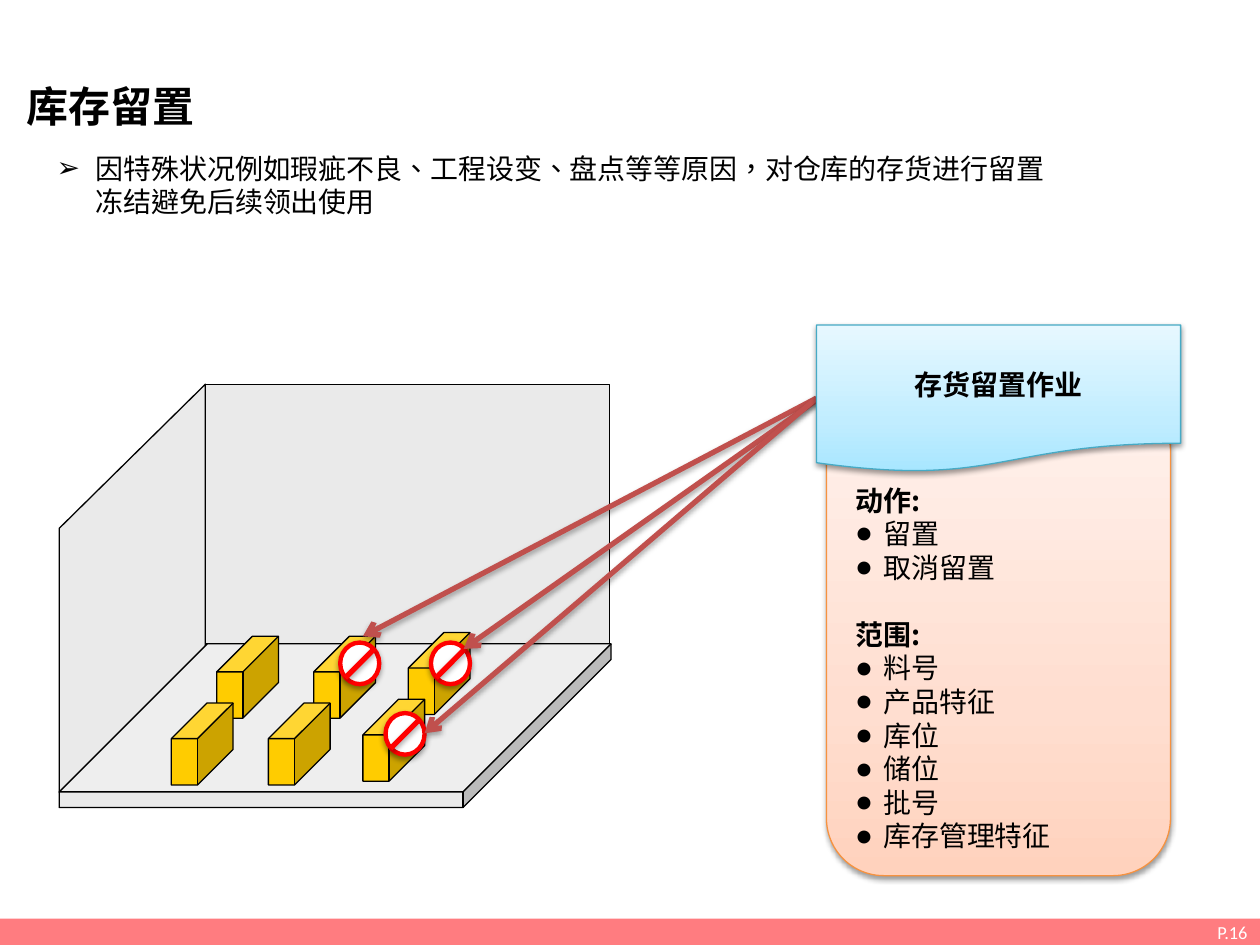
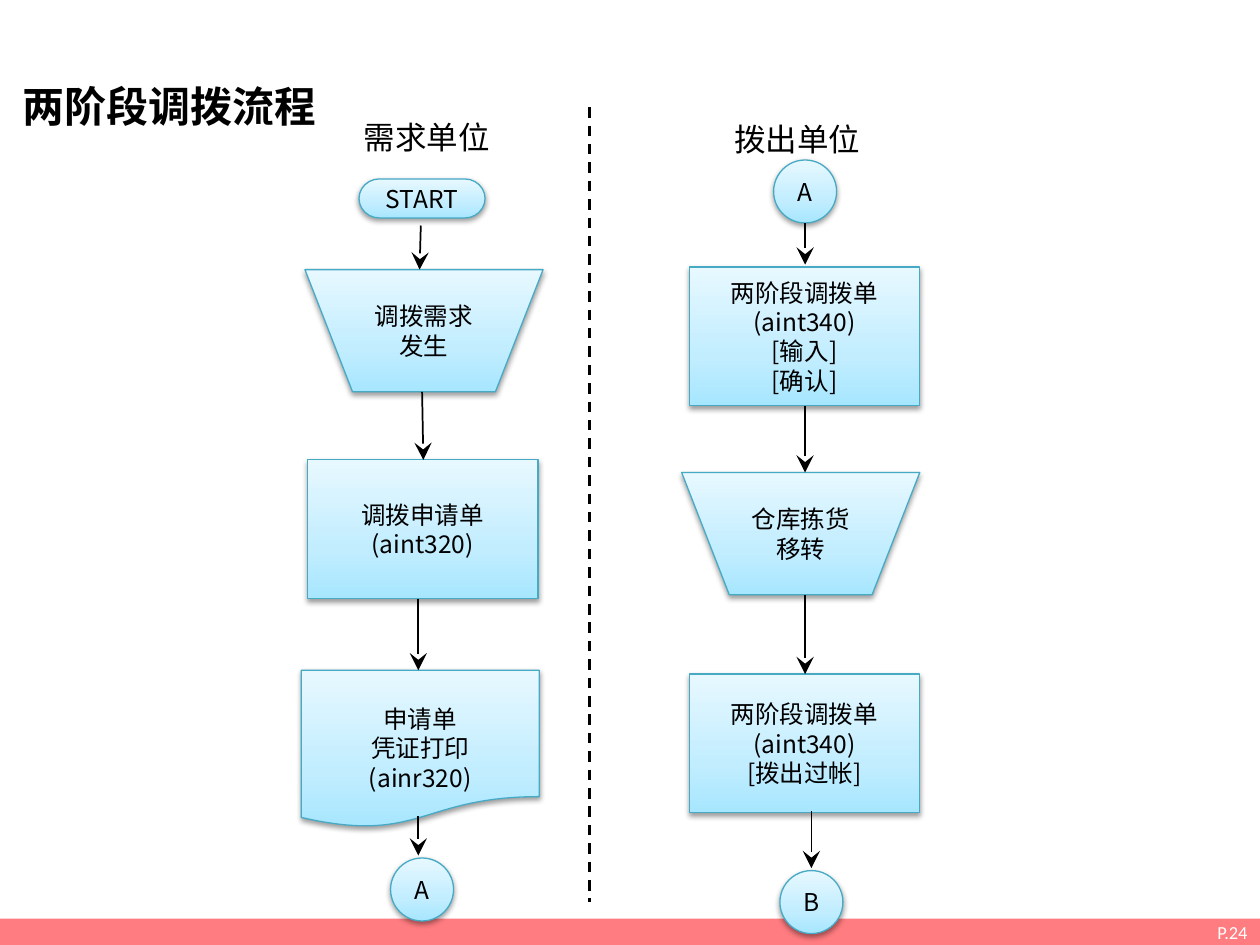
from lxml.etree import SubElement
from pptx import Presentation
from pptx.dml.color import RGBColor
from pptx.enum.dml import MSO_LINE
from pptx.enum.shapes import MSO_CONNECTOR, MSO_SHAPE
from pptx.enum.text import MSO_ANCHOR, MSO_AUTO_SIZE, PP_ALIGN
from pptx.oxml.ns import qn
from pptx.util import Inches, Pt

FONT, LATIN = "Noto Sans CJK SC", "Calibri"
BLACK, WHITE, RED, ROSE = "000000", "FFFFFF", "FF0000", "C0504D"
BAND, WALL, GOLD = "FF7C80", "EAEAEA", "FFCC00"
# Gradient stops from bottom to top, then the outline colour
BLUE = ("A7E6FF", "C1EDFF", "E7F8FF"), "46AAC5"
PEACH = ("FFD2BD", "FFDED0", "FFF2ED"), "F69240"
STOPS = 0, 35, 100

RECT, CUBE, OVAL = MSO_SHAPE.RECTANGLE, MSO_SHAPE.CUBE, MSO_SHAPE.OVAL
DOC = MSO_SHAPE.FLOWCHART_DOCUMENT
HAND = MSO_SHAPE.FLOWCHART_MANUAL_OPERATION
LINK = MSO_SHAPE.FLOWCHART_CONNECTOR
PILL = MSO_SHAPE.FLOWCHART_TERMINATOR

# Stock hold slide
HOLD = "库存留置"
REASON = "因特殊状况例如瑕疵不良、工程设变、盘点等等原因，对仓库的存货进行留置冻结避免后续领出使用"
TASK = "存货留置作业"
GROUPS = [
    ("动作:", ["留置", "取消留置"]),
    ("范围:", ["料号", "产品特征", "库位", "储位", "批号", "库存管理特征"]),
]
BACK_ROW = [(2.49, 5.05), (1.72, 5.05), (3.24, 5.02)]
FRONT_STEP = -0.36, 0.53
SIGNS = [(3.42, 5.1), (3.06, 5.66), (2.7, 5.1)]
HOLDS = [
    ((6.48, 3.16), (2.88, 5.05)),
    ((6.56, 3.12), (3.68, 5.15)),
    ((6.48, 3.16), (3.37, 5.82)),
]

# Transfer slide
FLOW = "两阶段调拨流程"
UNITS = [("需求单位", 2.79, 0.89), ("拨出单位", 5.73, 0.9)]
SIZES = {PILL: (1, 0.31), HAND: (1.89, 0.97), RECT: (1.83, 1.1),
         DOC: (1.89, 1.25), LINK: (0.5, 0.5)}
STEPS = [
    (PILL, 2.85, 1.42, ["START"]),
    (HAND, 2.42, 2.14, ["调拨需求发生"]),
    (RECT, 2.44, 3.65, ["调拨申请单(aint320)"]),
    (DOC, 2.39, 5.32, ["申请单", "凭证打印", "(ainr320)"]),
    (LINK, 3.1, 6.81, ["A"]),
    (LINK, 6.14, 1.27, ["A"]),
    (RECT, 5.47, 2.12, ["两阶段调拨单(aint340)", "[输入]", "[确认]"]),
    (HAND, 5.41, 3.75, ["仓库拣货移转"]),
    (RECT, 5.47, 5.35, ["两阶段调拨单(aint340)", "[拨出过帐]"]),
    (LINK, 6.19, 6.91, ["B"]),
]
ARROWS = [
    ((3.34, 1.79), (3.33, 2.14)),
    ((3.35, 3.11), (3.36, 3.65)),
    ((3.32, 4.75), (3.32, 5.32)),
    ((3.32, 6.48), (3.32, 6.79)),
    ((6.39, 1.77), (6.39, 2.1)),
    ((6.39, 3.22), (6.39, 3.75)),
    ((6.39, 4.72), (6.39, 5.35)),
    ((6.44, 6.44), (6.44, 6.89)),
]


def color(code):
    return RGBColor.from_string(code)


def add_node(parent, tag, **attrs):
    return SubElement(parent, qn(tag), {k: str(v) for k, v in attrs.items()})


def set_effect(props, alpha=0):
    """Replace the theme shadow by a soft one, or by none if alpha is 0."""
    effects = add_node(props, "a:effectLst")
    if alpha:
        shade = add_node(effects, "a:outerShdw", blurRad=40000, dist=20000,
                         dir=5400000, rotWithShape=0)
        tint = add_node(shade, "a:srgbClr", val=BLACK)
        add_node(tint, "a:alpha", val=alpha * 1000)


def set_blend(shape, codes):
    shape.fill.gradient()
    grad = shape._element.spPr.find(qn("a:gradFill"))
    for child in list(grad):
        grad.remove(child)
    stops = add_node(grad, "a:gsLst")
    for place, code in zip(STOPS, codes):
        stop = add_node(stops, "a:gs", pos=place * 1000)
        add_node(stop, "a:srgbClr", val=code)
    add_node(grad, "a:lin", ang=16200000, scaled=0)


def add_form(slide, kind, at, fill, line=None, width=0.75, alpha=0):
    shape = slide.shapes.add_shape(kind, *map(Inches, at))
    if isinstance(fill, str):
        shape.fill.solid()
        shape.fill.fore_color.rgb = color(fill)
    else:
        set_blend(shape, fill)
    if line:
        shape.line.color.rgb = color(line)
        shape.line.width = Pt(width)
    else:
        shape.line.fill.background()
    set_effect(shape._element.spPr, alpha)
    return shape


def add_line(slide, start, end, code, width, head=None, size="med", alpha=0):
    line = slide.shapes.add_connector(
        MSO_CONNECTOR.STRAIGHT, *map(Inches, start + end))
    line.line.color.rgb = color(code)
    line.line.width = Pt(width)
    if head:
        add_node(line.line._get_or_add_ln(), "a:tailEnd",
                 type=head, w=size, len=size)
    set_effect(line._element.spPr, alpha)
    return line


def write(para, text, size, bold=False, code=BLACK, face=FONT):
    run = para.add_run()
    run.text = text
    font = run.font
    font.size, font.bold, font.name = Pt(size), bold, face
    font.color.rgb = color(code)
    props = run._r.get_or_add_rPr()
    props.set("lang", "zh-TW")
    add_node(props, "a:ea", typeface=face)


def set_bullet(para, mark, indent):
    props = para._p.get_or_add_pPr()
    props.set("marL", str(Inches(indent)))
    props.set("indent", str(-Inches(indent)))
    add_node(props, "a:buFont", typeface=LATIN)
    add_node(props, "a:buChar", char=mark)


def next_para(frame):
    """Return the first paragraph while it is empty, else a new one."""
    first = frame.paragraphs[0]
    return frame.add_paragraph() if first.runs else first


def fill_lines(shape, lines, size, bold=False):
    frame = shape.text_frame
    frame.word_wrap = True
    frame.vertical_anchor = MSO_ANCHOR.MIDDLE
    for text in lines:
        para = next_para(frame)
        para.alignment = PP_ALIGN.CENTER
        write(para, text, size, bold)


def place(shape, at):
    shape.left, shape.top, shape.width, shape.height = map(Inches, at)
    frame = shape.text_frame
    frame.word_wrap = True
    frame.auto_size = MSO_AUTO_SIZE.NONE
    frame.vertical_anchor = MSO_ANCHOR.TOP
    para = frame.paragraphs[0]
    para.alignment = PP_ALIGN.LEFT
    para.space_before = Pt(0)
    return para


def add_page(deck, layout, title, left, number):
    slide = deck.slides.add_slide(deck.slide_layouts[layout])
    write(place(slide.shapes.title, (left, 0.59, 4.17, 0.53)), title, 24, True)
    band = add_form(slide, RECT, (0, 7.29, 10, 0.21), BAND)
    frame = band.text_frame
    frame.margin_top = frame.margin_bottom = 0
    frame.vertical_anchor = MSO_ANCHOR.MIDDLE
    para = frame.paragraphs[0]
    para.alignment = PP_ALIGN.RIGHT
    write(para, f"P.{number}", 10.5, code=WHITE, face=LATIN)
    return slide


def draw_store(slide):
    side = add_form(slide, MSO_SHAPE.PARALLELOGRAM,
                    (-0.57, 4.09, 3.24, 1.16), WALL, BLACK)
    side.adjustments[0] = 0.986
    side.rotation = 270
    side._element.spPr.xfrm.set("flipV", "1")
    add_form(slide, RECT, (1.63, 3.05, 3.21, 2.06), WALL, BLACK)
    floor = add_form(slide, CUBE, (0.47, 5.11, 4.38, 1.3), WALL, BLACK)
    floor.adjustments[0] = 0.904
    across, down = FRONT_STEP
    for x, y in BACK_ROW:
        for left, top in ((x, y), (x + across, y + down)):
            crate = add_form(slide, CUBE, (left, top, 0.49, 0.65), GOLD, BLACK)
            crate.adjustments[0] = 0.576
    for x, y in SIGNS:
        add_form(slide, OVAL, (x, y, 0.31, 0.33), WHITE, RED, 2.5, 38)
        add_line(slide, (x + 0.27, y + 0.05), (x + 0.04, y + 0.28),
                 RED, 3, alpha=35)


def draw_card(slide):
    blend, edge = PEACH
    card = add_form(slide, MSO_SHAPE.ROUNDED_RECTANGLE,
                    (6.56, 3.12, 2.73, 3.83), blend, edge, alpha=38)
    frame = card.text_frame
    frame.word_wrap = True
    frame.vertical_anchor = MSO_ANCHOR.MIDDLE
    frame.margin_top = Inches(0.58)
    for index, (head, items) in enumerate(GROUPS):
        para = next_para(frame)
        para.alignment = PP_ALIGN.LEFT
        if index:
            para.space_before = Pt(19.2)
        write(para, head, 16, True)
        for item in items:
            para = next_para(frame)
            para.alignment = PP_ALIGN.LEFT
            set_bullet(para, "●", 0.22)
            write(para, item, 16)
    blend, edge = BLUE
    flag = add_form(slide, DOC, (6.48, 2.58, 2.89, 1.17), blend, edge, alpha=38)
    fill_lines(flag, [TASK], 16, True)


def build_hold(deck):
    slide = add_page(deck, 1, HOLD, 0.11, 16)
    para = place(slide.placeholders[1], (0.35, 1.15, 8.12, 0.65))
    set_bullet(para, "➢", 0.31)
    write(para, REASON, 16)
    draw_store(slide)
    for start, end in HOLDS:
        add_line(slide, start, end, ROSE, 3, "arrow", alpha=35)
    draw_card(slide)


def build_flow(deck):
    slide = add_page(deck, 5, FLOW, 0.08, 24)
    blend, edge = BLUE
    for kind, x, y, lines in STEPS:
        step = add_form(slide, kind, (x, y, *SIZES[kind]), blend, edge, alpha=38)
        fill_lines(step, lines, 14)
        if kind == DOC:
            step.text_frame.margin_top = Inches(0.28)
    for start, end in ARROWS:
        add_line(slide, start, end, BLACK, 1, "stealth", "lg")
    split = add_line(slide, (4.68, 0.85), (4.68, 7.16), BLACK, 1.5)
    split.line.dash_style = MSO_LINE.DASH
    for text, x, y in UNITS:
        at = x, y, 1.47, 0.42
        label = slide.shapes.add_textbox(*map(Inches, at))
        write(place(label, at), text, 18)


def main():
    deck = Presentation()
    deck.slide_width, deck.slide_height = Inches(10), Inches(7.5)
    build_hold(deck)
    build_flow(deck)
    deck.save("out.pptx")


if __name__ == "__main__":
    main()
